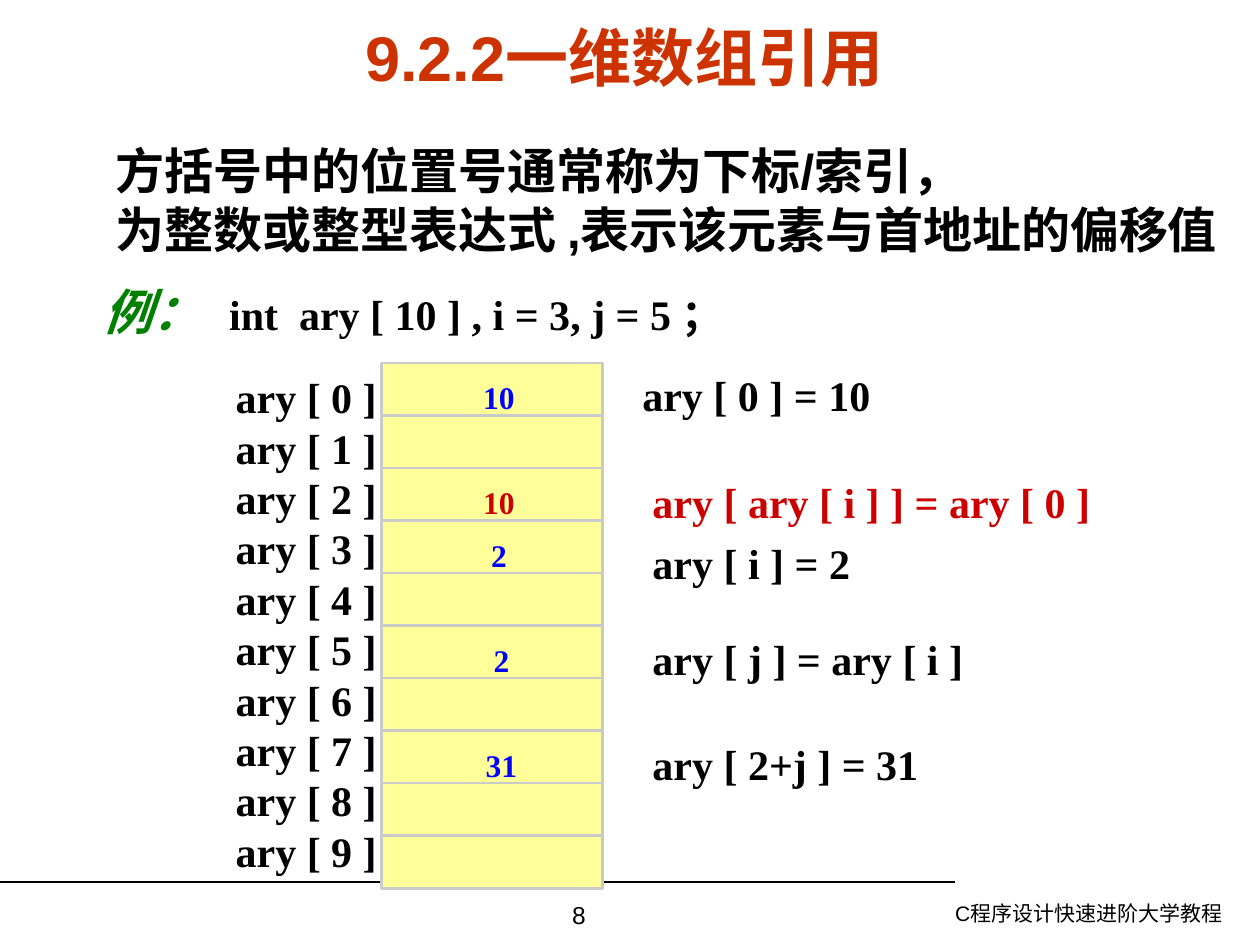
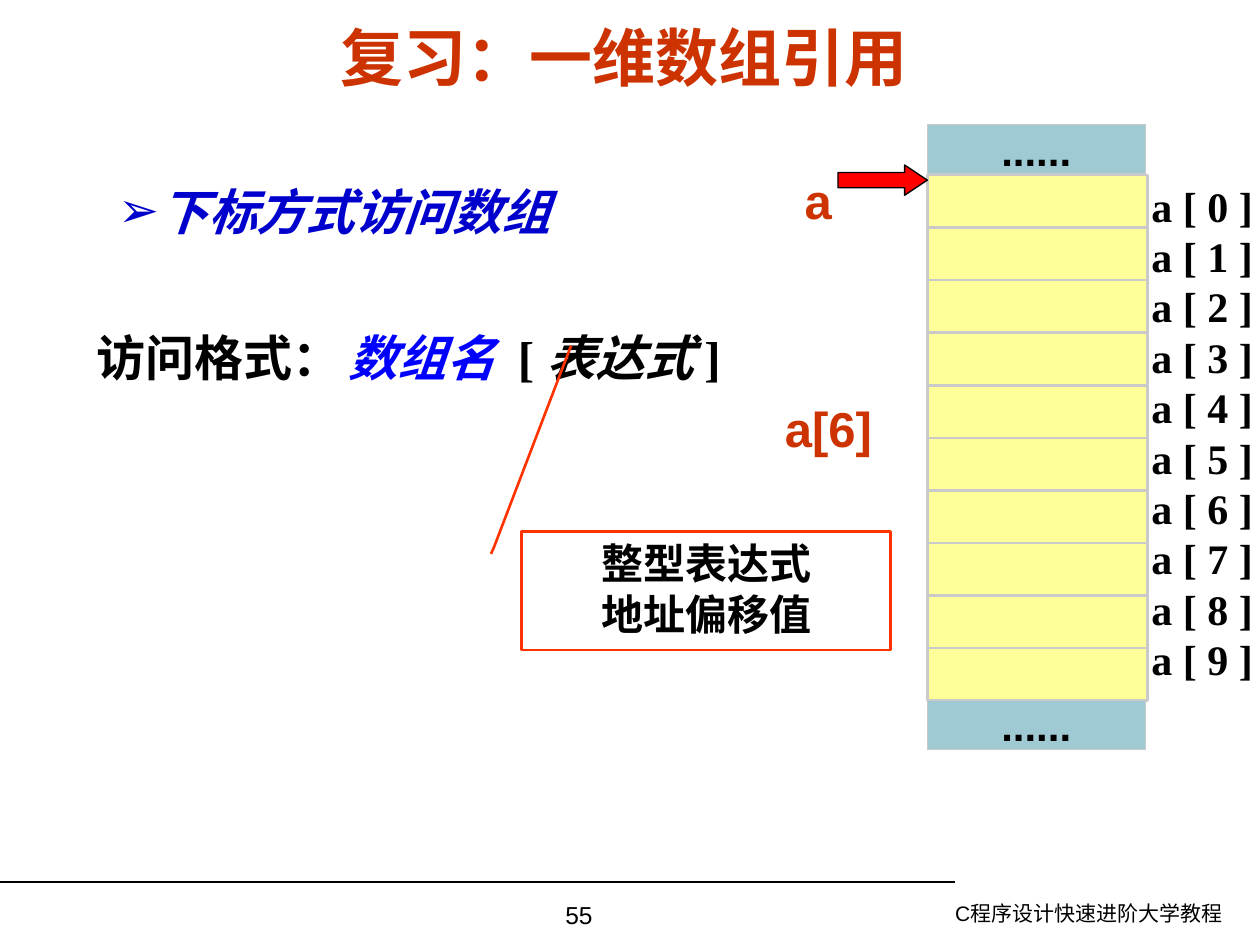
from lxml import etree
from pptx import Presentation
from pptx.dml.color import RGBColor
from pptx.enum.shapes import MSO_CONNECTOR, MSO_SHAPE
from pptx.enum.text import MSO_ANCHOR, MSO_AUTO_SIZE, PP_ALIGN
from pptx.oxml.ns import qn
from pptx.util import Inches, Pt

# Shared style
BLACK, BLUE, NAVY, RED = "000000", "0000FF", "0000CC", "CC0000"
RUST, GREEN, GRAY = "CC3300", "008000", "CACACA"
YELLOW, TEAL = "FFFF99", "9FCAD3"
SANS, SERIF = "Arial", "Times New Roman"
LEFT, MID, RIGHT = PP_ALIGN.LEFT, PP_ALIGN.CENTER, PP_ALIGN.RIGHT
TOP, CENTER = MSO_ANCHOR.TOP, MSO_ANCHOR.MIDDLE
FOOTER = "C程序设计快速进阶大学教程"
COUNT, CELL, WIDE = 10, 4.17 / 10, 1.75

# Slide 1 content
INTRO = ["方括号中的位置号通常称为下标/索引，",
         "为整数或整型表达式 ,表示该元素与首地址的偏移值"]
SAMPLE = [("例：\t", {"color": GREEN, "italic": True}),
          ("int  ary [ 10 ] , i = 3, j = 5 ；", {"size": 24}),
          (" ", {})]
# left, top, statement, colour
STEPS = [(5, 2.88, "ary [ 0 ] = 10", BLACK),
         (5.08, 3.73, "ary [ ary [ i ] ] = ary [ 0 ]", RED),
         (5.08, 4.22, "ary [ i ] = 2", BLACK),
         (5.08, 4.98, "ary [ j ] = ary [ i ]", BLACK),
         (5.08, 5.81, "ary [ 2+j ] = 31", BLACK)]
# row, centre, value, colour
VALUES = [(0, 3.96, "10", BLUE), (2, 3.96, "10", RED), (3, 3.96, "2", BLUE),
          (5, 3.98, "2", BLUE), (7, 3.98, "31", BLUE)]

# Slide 2 content
SYNTAX = [("访问格式：\t", {}),
          ("数组名  ", {"color": BLUE, "italic": True}),
          ("[ ", {}), ("表达式 ", {"italic": True}), ("] ", {})]
NOTE = ["整型表达式", "地址偏移值"]
TAGS = [(6.18, 1.39, "a"), (6.26, 3.2, "a[6]")]
ENDS = [0.99, 5.56]
BEND = [0.188, -0.083, 0.132, -0.075, -1.57, 0.134]


def rgb(code):
    return RGBColor.from_string(code)


def box(at):
    return [Inches(n) for n in at]


def write(frame, paras, size, color=BLACK, font=SERIF, bold=True,
          align=LEFT, anchor=CENTER, wrap=False, grow=True, space=None):
    """Fill a frame; a paragraph is a string or a list of (text, changes)."""
    frame.word_wrap = wrap
    frame.vertical_anchor = anchor
    frame.auto_size = (MSO_AUTO_SIZE.SHAPE_TO_FIT_TEXT if grow
                       else MSO_AUTO_SIZE.NONE)
    for i, para in enumerate(paras):
        p = frame.add_paragraph() if i else frame.paragraphs[0]
        p.alignment = align
        if space:
            p.line_spacing = space
        for words, diff in [(para, {})] if isinstance(para, str) else para:
            run = p.add_run()
            run.text = words
            f = run.font
            f.name, f.bold = font, bold
            f.size = Pt(diff.get("size", size))
            f.italic = diff.get("italic", False)
            f.color.rgb = rgb(diff.get("color", color))


def text(slide, at, paras, size, **style):
    shape = slide.shapes.add_textbox(*box(at))
    write(shape.text_frame, paras, size, **style)
    return shape


def block(shapes, kind, at, fill, edge, width):
    shape = shapes.add_shape(kind, *box(at))
    shape.shadow.inherit = False
    shape.fill.solid()
    shape.fill.fore_color.rgb = rgb(fill)
    shape.line.color.rgb = rgb(edge)
    shape.line.width = Pt(width)
    return shape


def rule(shapes, x1, x2, y, color, width):
    line = shapes.add_connector(MSO_CONNECTOR.STRAIGHT, *box((x1, y, x2, y)))
    line.line.color.rgb = rgb(color)
    line.line.width = Pt(width)
    etree.SubElement(line._element.spPr, qn("a:effectLst"))


def start(deck, title, page):
    """Add a slide with its title, rule and footer."""
    slide = deck.slides.add_slide(deck.slide_layouts[5])
    head = slide.shapes.title
    head.left, head.top, head.width, head.height = box((0.43, 0.2, 9.05, 0.5))
    write(head.text_frame, [title], 36, color=RUST, font=SANS, align=MID,
          wrap=True, grow=False)
    rule(slide.shapes, 0, 7.58, 7, BLACK, 0.75)
    for at, words, size, side in [((6.57, 7.1, 3.23, 0.39), FOOTER, 12, RIGHT),
                                  ((3.43, 7.09, 2.33, 0.41), page, 14, MID)]:
        text(slide, at, [words], size, font=SANS, bold=False, align=side,
             anchor=TOP, wrap=True, grow=False)
    return slide


def array(slide, x, y, name, at):
    """Draw the memory cells and the element names beside them."""
    group = slide.shapes.add_group_shape().shapes
    block(group, MSO_SHAPE.RECTANGLE, (x, y, WIDE, COUNT * CELL), YELLOW, GRAY, 1.5)
    for i in range(1, COUNT):
        rule(group, x, x + WIDE, y + i * CELL, GRAY, 1.5)
    text(slide, at, [f"{name} [ {i} ]" for i in range(COUNT)], 24, align=MID)


def bullet(p, mark, color):
    props = p._p.get_or_add_pPr()
    props.set("marL", "0")
    props.set("indent", "0")
    tint = etree.SubElement(props, qn("a:buClr"))
    etree.SubElement(tint, qn("a:srgbClr"), val=color)
    etree.SubElement(props, qn("a:buFont"), typeface=SANS)
    etree.SubElement(props, qn("a:buChar"), char=mark)


def usage(deck):
    slide = start(deck, "9.2.2一维数组引用", "8")
    text(slide, (0.82, 1.06, 9.18, 1.04), INTRO, 28, font=SANS)
    text(slide, (0.72, 2.18, 5.29, 0.57), [SAMPLE], 28)
    array(slide, 3.03, 2.88, "ary", (1.72, 2.9, 1.42, 4.1))
    for x, y, words, color in STEPS:
        text(slide, (x, y, 4, 0.5), [words], 24, color=color)
    for row, mid, value, color in VALUES:
        text(slide, (mid - 0.3, 2.95 + row * CELL, 0.6, 0.4), [value], 18,
             color=color, align=MID)


def review(deck):
    slide = start(deck, "复习：一维数组引用", "55")
    text(slide, (0.67, 2.18, 6.52, 0.94), [SYNTAX], 28, anchor=TOP, wrap=True,
         align=PP_ALIGN.JUSTIFY, space=1.8)
    topic = text(slide, (0.84, 1.39, 4, 0.57),
                 [[("下标方式访问数组", {"italic": True})]], 28, color=NAVY, anchor=TOP)
    bullet(topic.text_frame.paragraphs[0], "➢", NAVY)

    # Memory column with its two ends
    array(slide, 7.36, 1.39, "a", (8.98, 1.38, 1.12, 4.1))
    for y in ENDS:
        end = block(slide.shapes, MSO_SHAPE.RECTANGLE, (7.36, y, 1.73, 0.39),
                    TEAL, GRAY, 0.75)
        write(end.text_frame, ["......"], 24, font=SANS, align=MID, grow=False)

    # Pointer to the first cell
    for x, y, words in TAGS:
        text(slide, (x, y, 0.63, 0.39), [words], 28, color=RUST, font=SANS,
             align=MID, grow=False)
    arrow = block(slide.shapes, MSO_SHAPE.RIGHT_ARROW, (6.65, 1.31, 0.71, 0.24),
                  "FF0000", BLACK, 0.75)
    arrow.adjustments[1] = 0.75

    # Callout on the index expression
    note = block(slide.shapes, MSO_SHAPE.LINE_CALLOUT_2, (4.14, 4.22, 2.93, 0.94),
                 "FFFFFF", "FF3300", 1.5)
    for i, bend in enumerate(BEND):
        note.adjustments[i] = bend
    write(note.text_frame, NOTE, 24, align=MID, anchor=TOP, wrap=True, grow=False)


def main():
    deck = Presentation()
    deck.slide_width, deck.slide_height = Inches(10), Inches(7.5)
    usage(deck)
    review(deck)
    deck.save("out.pptx")


if __name__ == "__main__":
    main()
